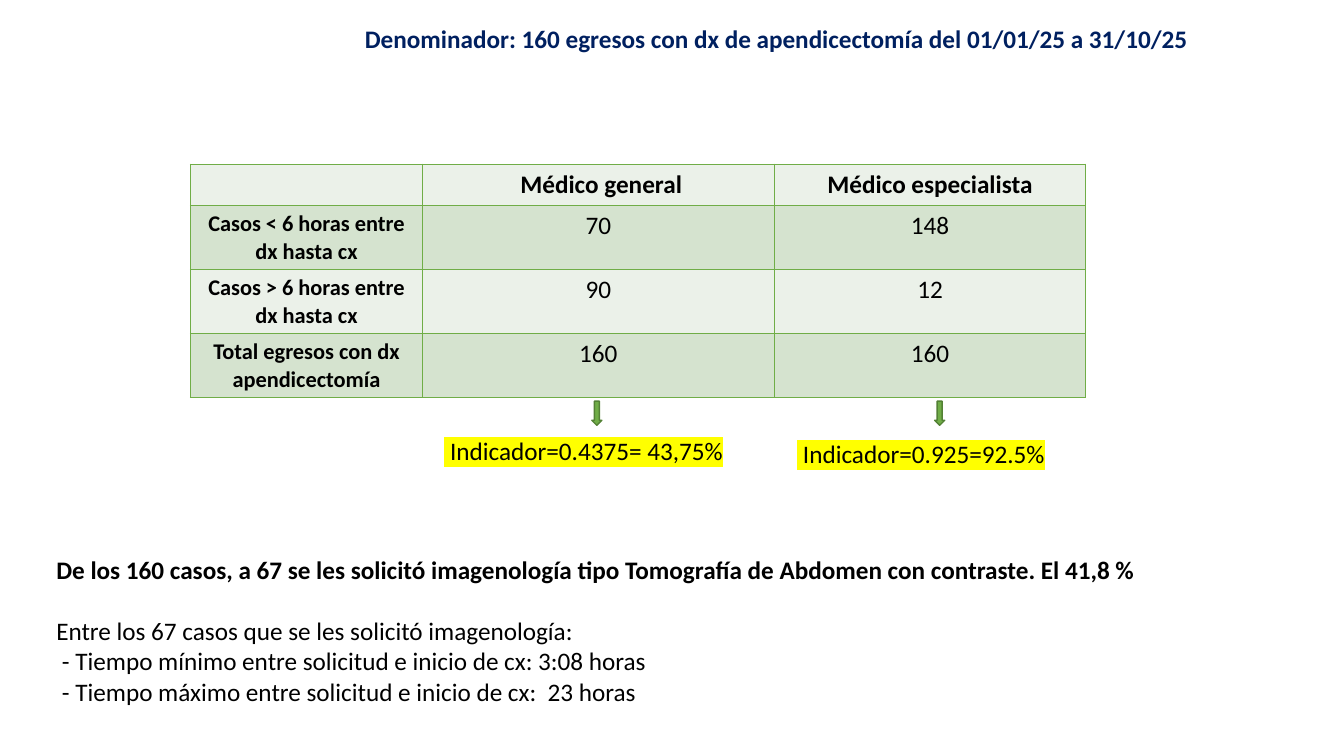
from lxml.etree import SubElement
from pptx import Presentation
from pptx.dml.color import RGBColor
from pptx.enum.shapes import MSO_SHAPE as Shape
from pptx.enum.text import PP_ALIGN as Align
from pptx.oxml.ns import qn
from pptx.util import Inches, Pt

NAVY = RGBColor(0x00, 0x20, 0x60)
BLACK = RGBColor(0x00, 0x00, 0x00)
GREEN = RGBColor(0x70, 0xAD, 0x47)
DARK_GREEN = RGBColor(0x53, 0x81, 0x35)
BANDS = (RGBColor(0xEB, 0xF1, 0xE9), RGBColor(0xD5, 0xE3, 0xCF))
YELLOW = RGBColor(0xFF, 0xFF, 0x00)

COLUMN_WIDTHS = (2.3, 3.49, 3.09)
ROW_HEIGHTS = (0.41, 0.63, 0.63, 0.63)
CASES = (
    ("", " Médico general", "Médico especialista"),
    ("Casos < 6 horas entre dx hasta cx", "70", "148"),
    ("Casos > 6 horas entre dx hasta cx", "90", "12"),
    ("Total egresos con dx apendicectomía", "160", "160"),
)
IMAGING = (
    "De los 160 casos, a 67 se les solicitó imagenología tipo Tomografía de Abdomen con contraste. El 41,8 %",
    "Entre los 67 casos que se les solicitó imagenología:",
    " - Tiempo mínimo entre solicitud e inicio de cx: 3:08 horas",
    " - Tiempo máximo entre solicitud e inicio de cx:  23 horas",
)


def style(paragraph, size=18, bold=False, color=BLACK):
    """Format every run of a paragraph."""
    for run in paragraph.runs:
        run.font.name = "Calibri"
        run.font.size = Pt(size)
        run.font.bold = bold
        run.font.color.rgb = color


def add_text(slide, box, text):
    """Place a wrapping text box and return its paragraphs."""
    frame = slide.shapes.add_textbox(*map(Inches, box)).text_frame
    frame.word_wrap = True
    frame.text = text
    return frame.paragraphs


def add_title(slide, box):
    """Place the denominator line."""
    title, = add_text(slide, box, "Denominador: 160 egresos con dx de apendicectomía del 01/01/25 a 31/10/25")
    style(title, bold=True, color=NAVY)


def add_borders(cell):
    """Draw thin green borders on the four sides of a cell."""
    properties = cell._tc.get_or_add_tcPr()
    for side in ("a:lnL", "a:lnR", "a:lnT", "a:lnB"):
        border = SubElement(properties, qn(side), w=str(Pt(1)))
        fill = SubElement(border, qn("a:solidFill"))
        SubElement(fill, qn("a:srgbClr"), val=str(GREEN))


def add_cases_table(slide, left, top):
    """Place the banded table of cases by type of physician."""
    table = slide.shapes.add_table(
        len(ROW_HEIGHTS), len(COLUMN_WIDTHS), Inches(left), Inches(top),
        Inches(sum(COLUMN_WIDTHS)), Inches(sum(ROW_HEIGHTS))).table
    for column, width in zip(table.columns, COLUMN_WIDTHS):
        column.width = Inches(width)
    for row, height in zip(table.rows, ROW_HEIGHTS):
        row.height = Inches(height)
    for r, texts in enumerate(CASES):
        for c, text in enumerate(texts):
            cell = table.cell(r, c)
            add_borders(cell)
            cell.fill.solid()
            cell.fill.fore_color.rgb = BANDS[r % 2]
            cell.text = text
            paragraph = cell.text_frame.paragraphs[0]
            paragraph.alignment = Align.CENTER
            style(paragraph, 16 if c == 0 else 18, r == 0 or c == 0)


def add_indicator(slide, box, arrow_left, text):
    """Place a highlighted result and the arrow that leads to it."""
    arrow = slide.shapes.add_shape(
        Shape.DOWN_ARROW, *map(Inches, (arrow_left, 3.98, 0.1, 0.24)))
    arrow.shadow.inherit = False
    arrow.fill.solid()
    arrow.fill.fore_color.rgb = GREEN
    arrow.line.color.rgb = DARK_GREEN
    arrow.line.width = Pt(1)
    result, = add_text(slide, box, text)
    style(result)
    run_properties = result.runs[0]._r.get_or_add_rPr()
    highlight = SubElement(run_properties, qn("a:highlight"))
    SubElement(highlight, qn("a:srgbClr"), val=str(YELLOW))
    run_properties.find(qn("a:solidFill")).addnext(highlight)


def add_imaging_notes(slide, box):
    """Place the imaging finding and its waiting times."""
    finding, waiting, *times = add_text(slide, box, "\n".join(IMAGING))
    style(finding, bold=True)
    waiting.space_before = Pt(22)
    for paragraph in (waiting, *times):
        style(paragraph)


def main():
    """Build the slide and save it."""
    deck = Presentation()
    deck.slide_width, deck.slide_height = Inches(13.33), Inches(7.5)
    slide = deck.slides.add_slide(deck.slide_layouts[6])
    add_title(slide, (3.52, 0.18, 8.4, 0.71))
    add_cases_table(slide, 1.89, 1.63)
    add_indicator(slide, (4.31, 4.27, 3.13, 0.4), 5.87, " Indicador=0.4375= 43,75%")
    add_indicator(slide, (7.81, 4.3, 3.13, 0.4), 9.27, " Indicador=0.925=92.5%")
    add_imaging_notes(slide, (0.46, 5.45, 11.35, 1.62))
    deck.save("out.pptx")


if __name__ == "__main__":
    main()
